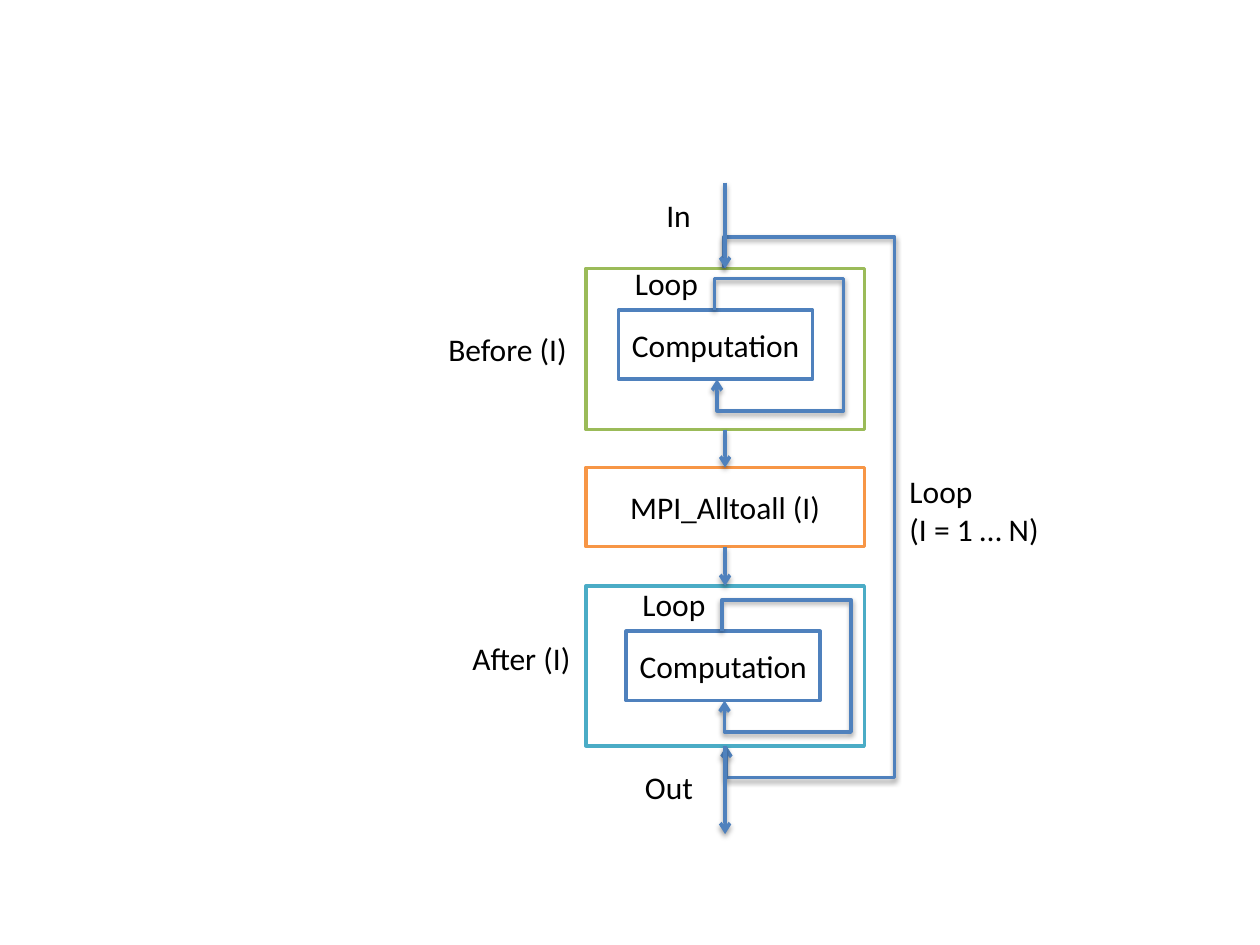
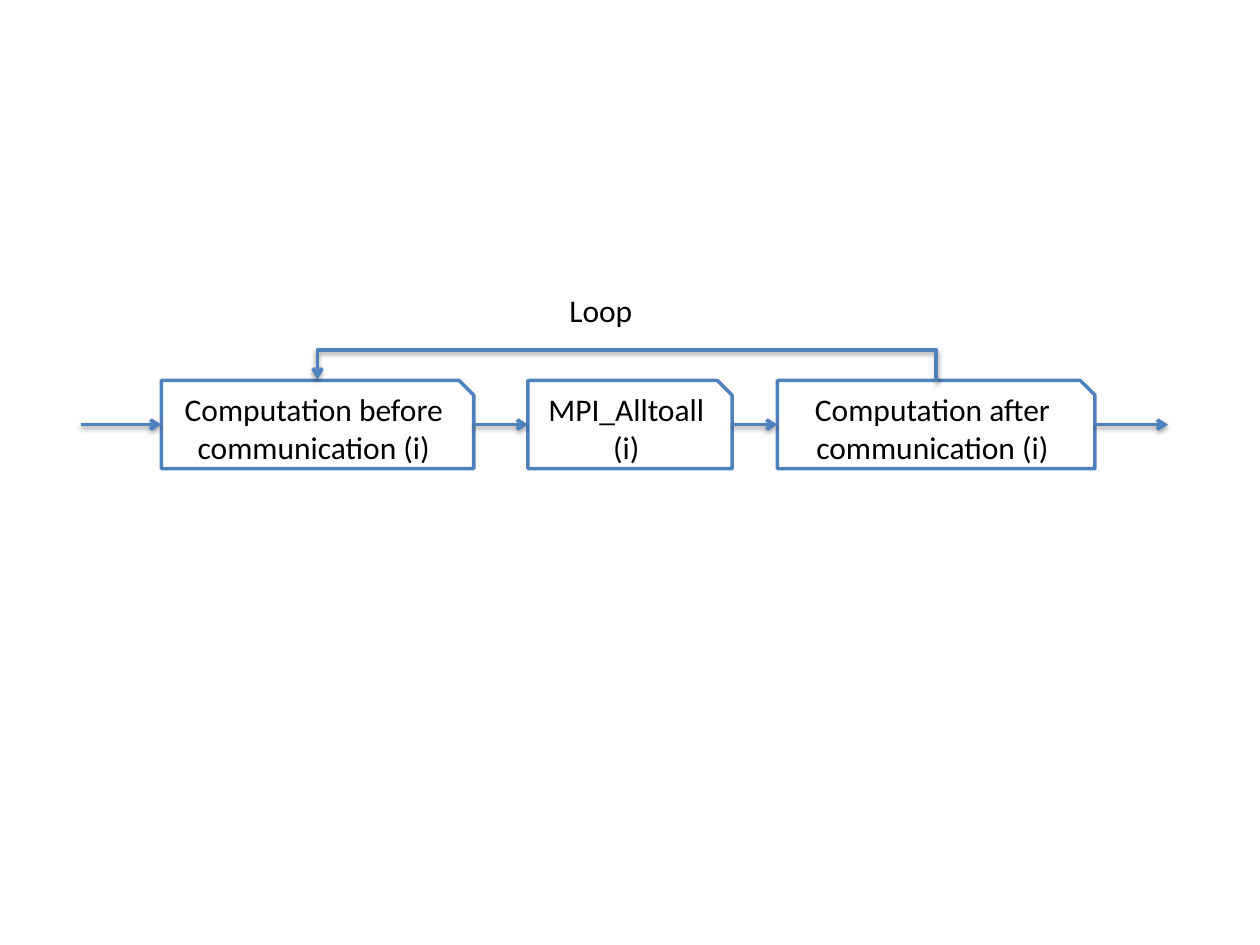
from lxml import etree
from pptx import Presentation
from pptx.dml.color import RGBColor
from pptx.enum.shapes import MSO_CONNECTOR as CONNECTOR, MSO_SHAPE as SHAPE
from pptx.enum.text import MSO_ANCHOR as ANCHOR, MSO_AUTO_SIZE as AUTO_SIZE, PP_ALIGN as ALIGN
from pptx.oxml.ns import qn
from pptx.util import Inches, Pt

# Shared style
COLORS = {"blue": "4F81BD", "green": "9BBB59", "orange": "F79646",
          "teal": "4BACC6", "text": "000000", "paper": "FFFFFF"}
FONT, TEXT_SIZE, LINE_WIDTH = "Calibri", 18, 2
SLIDE_WIDTH, SLIDE_HEIGHT = 10, 7.5
LABEL_HEIGHT = 0.4
LOOP_LEAD = 0.25    # how far a loop runs out before it turns
LOOP_SHIFT = 0.02   # sideways step between the two ends of a loop

# Slide 1: stages down one column (top, height, colour, text)
COLUMN_LEFT, COLUMN_WIDTH = 4.65, 2.21
AXIS = COLUMN_LEFT + COLUMN_WIDTH / 2
FLOW_TOP, FLOW_BOTTOM = 1.45, 6.62
STAGES = [
    (2.13, 1.28, "green", ""),
    (3.71, 0.63, "orange", "MPI_Alltoall (I)"),
    (4.65, 1.27, "teal", ""),
]
INNER_SIZE = (1.54, 0.55)
INNER_BOXES = [(4.91, 2.46, "Computation"), (4.97, 5.01, "Computation")]
INNER_REACH, OUTER_REACH = 1.02, 1.35
FLOW_LABELS = [  # left, top, width, lines
    (3.46, 2.57, 1.16, ["Before (I)"]),
    (3.65, 5.02, 0.99, ["After (I)"]),
    (7.12, 3.70, 1.24, ["Loop", "(I = 1 … N)"]),
    (5.19, 1.51, 0.40, ["In"]),
    (5.02, 6.05, 0.59, ["Out"]),
    (4.94, 2.05, 0.71, ["Loop"]),
    (5.00, 4.59, 0.71, ["Loop"]),
]

# Slide 2: steps along one row (left, width, text)
ROW_TOP, ROW_HEIGHT = 3.02, 0.7
ROW_LEFT, ROW_RIGHT = 0.64, 9.27
STEPS = [
    (1.28, 2.48, "Computation before communication (i)"),
    (4.19, 1.62, "MPI_Alltoall (i)"),
    (6.17, 2.52, "Computation after communication (i)"),
]
ROW_LABEL = (4.42, 2.26, 0.71, ["Loop"])


def color(name):
    """Return a palette colour."""
    return RGBColor.from_string(COLORS[name])


def add_text(paragraph, text):
    """Add one run in the shared text style."""
    run = paragraph.add_run()
    run.text = text
    run.font.name = FONT
    run.font.size = Pt(TEXT_SIZE)
    run.font.color.rgb = color("text")


def add_box(slide, kind, left, top, width, height, line="blue", text="", fill=None):
    """Add an outlined box with optional centred text and fill."""
    shape = slide.shapes.add_shape(kind, *map(Inches, (left, top, width, height)))
    shape.shadow.inherit = False
    if fill:
        shape.fill.solid()
        shape.fill.fore_color.rgb = color(fill)
    else:
        shape.fill.background()
    shape.line.color.rgb = color(line)
    shape.line.width = Pt(LINE_WIDTH)
    if text:
        frame = shape.text_frame
        frame.word_wrap = True
        frame.vertical_anchor = ANCHOR.MIDDLE
        paragraph = frame.paragraphs[0]
        paragraph.alignment = ALIGN.CENTER
        add_text(paragraph, text)


def add_label(slide, left, top, width, lines):
    """Add an unwrapped label, one paragraph a line."""
    height = LABEL_HEIGHT + 0.31 * (len(lines) - 1)
    box = slide.shapes.add_textbox(*map(Inches, (left, top, width, height)))
    frame = box.text_frame
    frame.word_wrap = False
    frame.auto_size = AUTO_SIZE.SHAPE_TO_FIT_TEXT
    for index, line in enumerate(lines):
        paragraph = frame.add_paragraph() if index else frame.paragraphs[0]
        add_text(paragraph, line)


def add_arrow(slide, start, end, kind=CONNECTOR.STRAIGHT):
    """Add a connector with an arrowhead at its end and a soft shadow."""
    arrow = slide.shapes.add_connector(kind, *map(Inches, (*start, *end)))
    arrow.line.color.rgb = color("blue")
    arrow.line.width = Pt(LINE_WIDTH)
    properties = arrow.line._get_or_add_ln()
    etree.SubElement(properties, qn("a:tailEnd"), type="arrow")
    effects = etree.SubElement(properties.getparent(), qn("a:effectLst"))
    shadow = etree.SubElement(effects, qn("a:outerShdw"), blurRad=str(Pt(3.1)),
                              dist=str(Pt(1.6)), dir="5400000", rotWithShape="0")
    shade = etree.SubElement(shadow, qn("a:srgbClr"), val=COLORS["text"])
    etree.SubElement(shade, qn("a:alpha"), val="38000")
    return arrow


def add_loop(slide, start, end, reach=None):
    """Add an elbow that leaves upwards; reach is how far right a loop swings."""
    (x1, y1), (x2, y2) = start, end
    middle_x, middle_y = (x1 + x2) / 2, (y1 + y2) / 2

    def turned(x, y):
        """Turn a point by a quarter about the middle, to undo the rotation."""
        return middle_x - (y - middle_y), middle_y + (x - middle_x)

    arrow = add_arrow(slide, turned(*start), turned(*end), CONNECTOR.ELBOW)
    lead = LOOP_LEAD / (y2 - y1)
    bends = [-lead] if reach is None else [-lead, reach / (x2 - x1), 1 + lead]
    properties = arrow._element.spPr
    properties.find(qn("a:xfrm")).set("rot", str(270 * 60000))
    geometry = properties.find(qn("a:prstGeom"))
    geometry.set("prst", f"bentConnector{len(bends) + 2}")
    guides = geometry.find(qn("a:avLst"))
    for number, bend in enumerate(bends, 1):
        etree.SubElement(guides, qn("a:gd"), name=f"adj{number}",
                         fmla=f"val {round(bend * 100000)}")


def build_column(slide):
    """Draw the stages from top to bottom with their nested loops."""
    for top, height, line, text in STAGES:
        add_box(slide, SHAPE.RECTANGLE, COLUMN_LEFT, top, COLUMN_WIDTH, height, line, text)
    width, height = INNER_SIZE
    half_shift = LOOP_SHIFT / 2
    for left, top, text in INNER_BOXES:
        add_box(slide, SHAPE.RECTANGLE, left, top, width, height, text=text)
        center = left + width / 2
        add_loop(slide, (center - half_shift, top), (center + half_shift, top + height),
                 INNER_REACH)
    tops = [stage[0] for stage in STAGES] + [FLOW_BOTTOM]
    bottoms = [FLOW_TOP] + [stage[0] + stage[1] for stage in STAGES]
    add_loop(slide, (AXIS - half_shift, tops[0]), (AXIS + half_shift, bottoms[-1]),
             OUTER_REACH)
    for start, end in zip(bottoms, tops):
        add_arrow(slide, (AXIS, start), (AXIS, end))
    for label in FLOW_LABELS:
        add_label(slide, *label)


def build_row(slide):
    """Draw the steps from left to right with one loop back."""
    for left, width, text in STEPS:
        add_box(slide, SHAPE.SNIP_1_RECTANGLE, left, ROW_TOP, width, ROW_HEIGHT,
                text=text, fill="paper")
    middle = ROW_TOP + ROW_HEIGHT / 2
    lefts = [step[0] for step in STEPS] + [ROW_RIGHT]
    rights = [ROW_LEFT] + [step[0] + step[1] for step in STEPS]
    for start, end in zip(rights, lefts):
        add_arrow(slide, (start, middle), (end, middle))
    first, last = (left + width / 2 for left, width, _ in (STEPS[0], STEPS[-1]))
    add_loop(slide, (last, ROW_TOP + LOOP_SHIFT / 2), (first, ROW_TOP - LOOP_SHIFT / 2))
    add_label(slide, *ROW_LABEL)


presentation = Presentation()
presentation.slide_width = Inches(SLIDE_WIDTH)
presentation.slide_height = Inches(SLIDE_HEIGHT)
for build in (build_column, build_row):
    build(presentation.slides.add_slide(presentation.slide_layouts[6]))
presentation.save("out.pptx")
